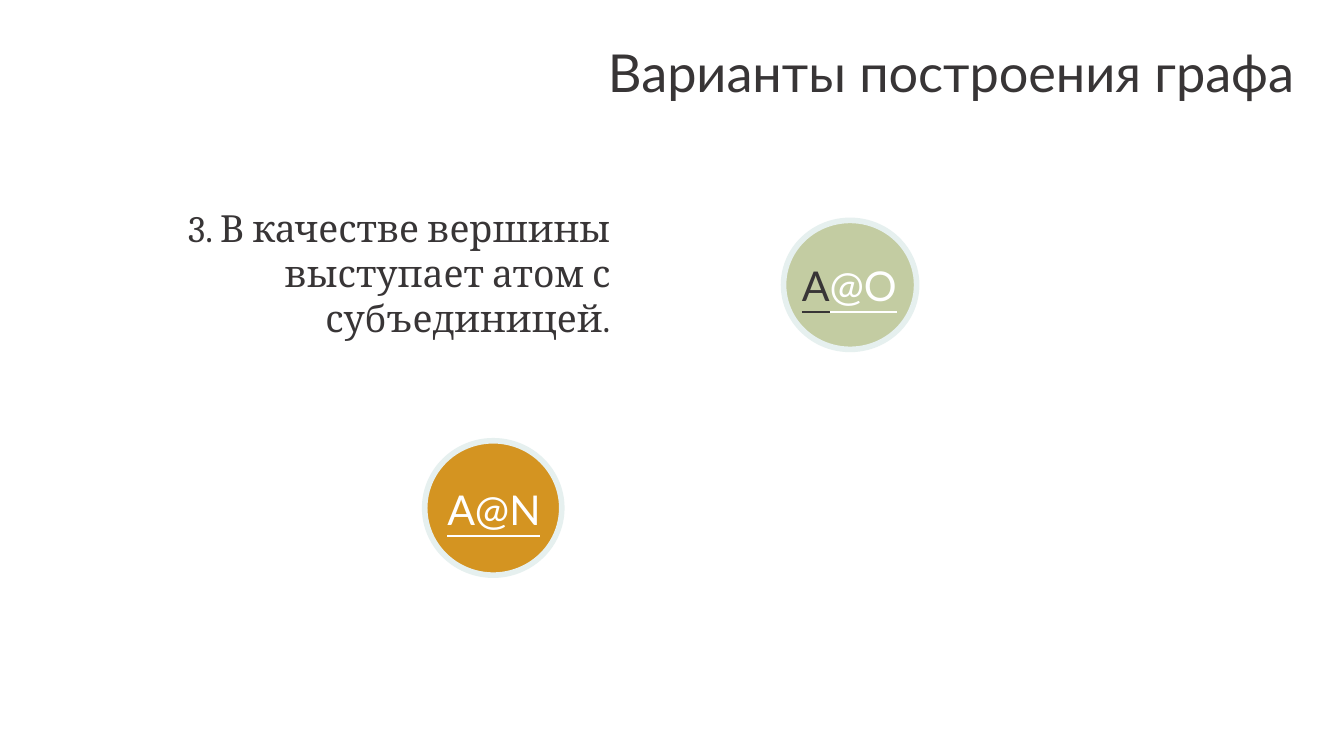
from pptx import Presentation
from pptx.dml.color import RGBColor
from pptx.enum import shapes, text
from pptx.util import Inches, Pt

DARK, WHITE, RING = "383536", "FFFFFF", "E6F0EF"
CENTER, RIGHT = text.PP_ALIGN.CENTER, text.PP_ALIGN.RIGHT
TOP, MIDDLE = text.MSO_ANCHOR.TOP, text.MSO_ANCHOR.MIDDLE


def color(value):
    return RGBColor.from_string(value)


def add_text(page, place, spans, size, font="Lato", align=CENTER,
             anchor=TOP, underline=None):
    """Add one paragraph made of (wording, colour) spans."""
    box = page.shapes.add_textbox(*map(Inches, place))
    frame = box.text_frame
    frame.word_wrap = True
    frame.vertical_anchor = anchor
    frame.margin_left = frame.margin_right = Inches(0.1)
    frame.margin_top = frame.margin_bottom = Inches(0.1)
    para = frame.paragraphs[0]
    para.alignment = align
    for wording, shade in spans:
        span = para.add_run()
        span.text = wording
        span.font.name = font
        span.font.size = Pt(size)
        span.font.underline = underline
        span.font.color.rgb = color(shade)


def add_vertex(page, place, fill):
    """Add a ringed graph vertex."""
    vertex = page.shapes.add_shape(shapes.MSO_SHAPE.OVAL, *map(Inches, place))
    vertex.shadow.inherit = False
    vertex.fill.solid()
    vertex.fill.fore_color.rgb = color(fill)
    vertex.line.color.rgb = color(RING)
    vertex.line.width = Pt(3)


def main():
    # Widescreen page, 16:9
    deck = Presentation()
    deck.slide_width = Inches(10)
    deck.slide_height = Inches(10) * 9 // 16
    page = deck.slides.add_slide(deck.slide_layouts[6])

    # Title
    add_text(page, (4.28, 0.2, 5.59, 1.22),
             [("Варианты построения графа", DARK)], 28)

    # Vertices
    add_vertex(page, (3.16, 3.28, 1.02, 1), "D49421")
    add_vertex(page, (5.83, 1.64, 0.99, 0.96), "C3CCA2")

    # Statement
    add_text(page, (0.43, 1.43, 4.21, 1.4),
             [("3. В качестве вершины выступает атом с субъединицей.", DARK)],
             20, font="Cambria", align=RIGHT)

    # Vertex labels
    labels = [
        ((3.07, 3.6, 1.21, 0.37), [("A@N", WHITE)]),
        ((5.75, 1.86, 1.14, 0.52), [("A", DARK), ("@O", WHITE)]),
    ]
    for place, spans in labels:
        add_text(page, place, spans, 22, anchor=MIDDLE, underline=True)

    deck.save("out.pptx")


main()
